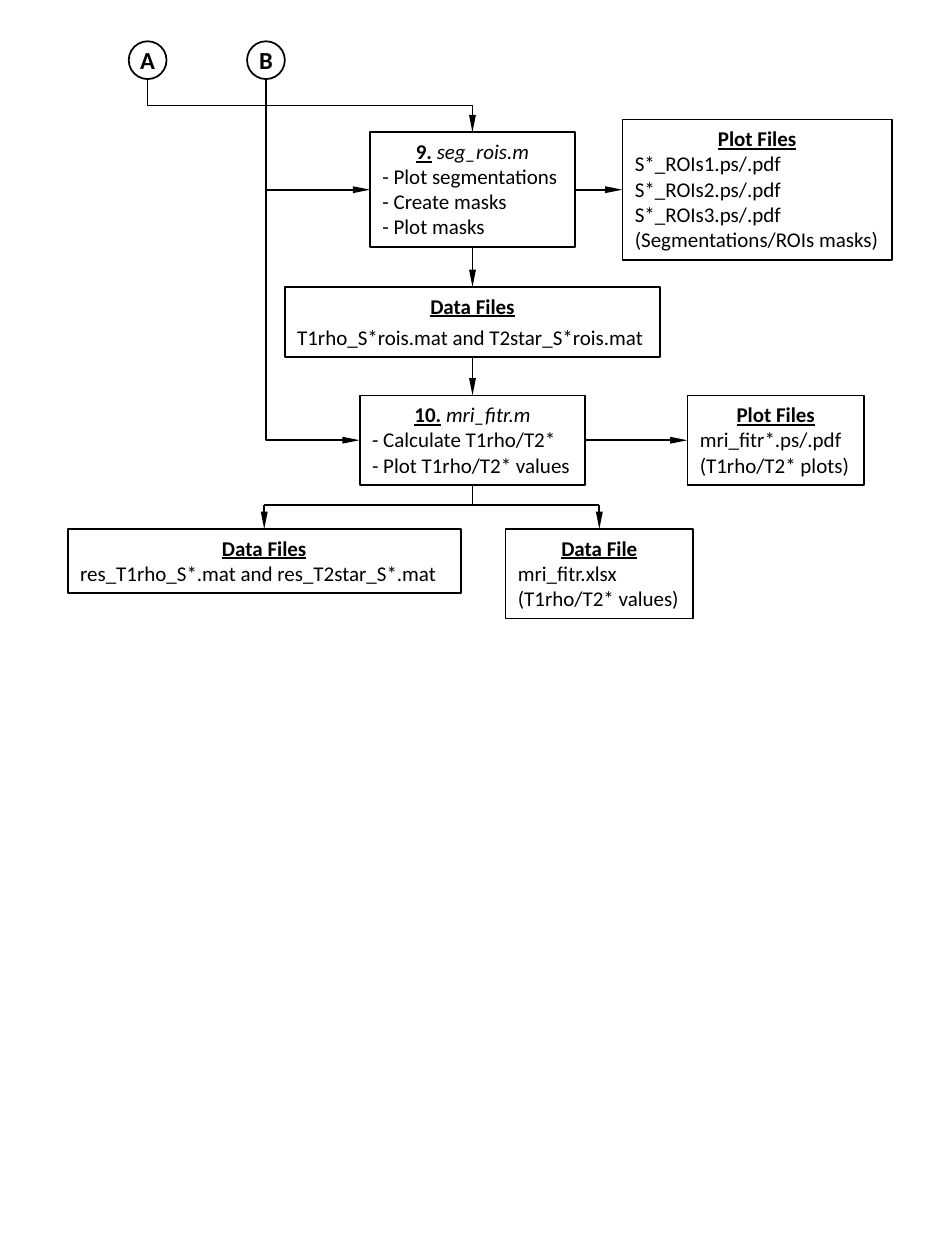
import pptx
import pptx.dml.color
import pptx.enum.shapes
import pptx.enum.text
import pptx.util
from collections import namedtuple
from lxml import etree
from pptx.oxml.ns import qn

Pt = pptx.util.Pt
SHAPE = pptx.enum.shapes.MSO_SHAPE
LINE = pptx.enum.shapes.MSO_CONNECTOR
ALIGN = pptx.enum.text.PP_ALIGN
ANCHOR = pptx.enum.text.MSO_ANCHOR
Edges = namedtuple("Edges", "left top right bottom cx cy")


def color(value):
    return pptx.dml.color.RGBColor.from_string(value)


def add_text(p, text, size=12, bold=False, italic=False, underline=False, ink="000000"):
    r = p.add_run()
    r.text = text
    r.font.name = "Calibri"
    r.font.size = Pt(size)
    r.font.bold = bold
    r.font.italic = italic
    r.font.underline = underline
    r.font.color.rgb = color(ink)


class Flowchart:
    ink = "000000"
    weight = 1
    row = 14.65
    inset = 3.6

    def __init__(self, s):
        self.s = s

    def shape(self, kind, cx, top, width, height):
        sp = self.s.shapes.add_shape(kind, Pt(cx - width / 2), Pt(top), Pt(width), Pt(height))
        sp.shadow.inherit = False
        sp.fill.background()
        sp.line.color.rgb = color(self.ink)
        sp.line.width = Pt(self.weight)
        edges = Edges(cx - width / 2, top, cx + width / 2, top + height, cx, top + height / 2)
        return sp, edges

    def box(self, cx, top, width, heading, lines, script=None, gap=0):
        height = 2 * self.inset + self.row * (len(lines) + 1) + gap
        sp, edges = self.shape(SHAPE.RECTANGLE, cx, top, width, height)
        tf = sp.text_frame
        tf.word_wrap = True
        tf.vertical_anchor = ANCHOR.TOP
        p = tf.paragraphs[0]
        p.alignment = ALIGN.CENTER
        add_text(p, heading, bold=True, underline=True)
        if script:
            add_text(p, " ")
            add_text(p, script, italic=True)
        for i, line in enumerate(lines):
            p = tf.add_paragraph()
            p.alignment = ALIGN.LEFT
            p.space_before = Pt(gap if i == 0 else 0)
            add_text(p, line)
        return edges

    def marker(self, cx, top, letter):
        sp, edges = self.shape(SHAPE.OVAL, cx, top, 21.6, 21.6)
        tf = sp.text_frame
        tf.margin_left = tf.margin_right = tf.margin_top = tf.margin_bottom = 0
        tf.word_wrap = False
        tf.vertical_anchor = ANCHOR.MIDDLE
        p = tf.paragraphs[0]
        p.alignment = ALIGN.CENTER
        add_text(p, letter, size=14, bold=True)
        return edges

    def connector(self, x1, y1, x2, y2, kind=LINE.STRAIGHT, arrow=True):
        c = self.s.shapes.add_connector(kind, Pt(x1), Pt(y1), Pt(x2), Pt(y2))
        c.line.color.rgb = color(self.ink)
        c.line.width = Pt(self.weight)
        if arrow:
            etree.SubElement(c.line._get_or_add_ln(), qn("a:tailEnd"), type="triangle", w="sm", len="lg")
        etree.SubElement(c._element.spPr, qn("a:effectLst"))
        return c

    def elbow_down(self, x1, y1, x2, y2, preset):
        cx, cy = (x1 + x2) / 2, (y1 + y2) / 2
        dx, dy = (x2 - x1) / 2, (y2 - y1) / 2
        c = self.connector(cx - dy, cy - dx, cx + dy, cy + dx, LINE.ELBOW)
        xfrm = c._element.spPr.find(qn("a:xfrm"))
        xfrm.set("rot", "16200000")
        xfrm.set("flipH", "1")
        c._element.spPr.find(qn("a:prstGeom")).set("prst", preset)


def main():
    prs = pptx.Presentation()
    prs.slide_width, prs.slide_height = Pt(540), Pt(720)
    chart = Flowchart(prs.slides.add_slide(prs.slide_layouts[6]))
    axis = 270

    a = chart.marker(84.4, 23.6, "A")
    b = chart.marker(152, 23.6, "B")
    seg = chart.box(axis, 75.5, 117, "9.",
                    ["- Plot segmentations", "- Create masks", "- Plot masks"], script="seg_rois.m")
    seg_plots = chart.box(432.7, 68.3, 154, "Plot Files",
                          ["S*_ROIs1.ps/.pdf", "S*_ROIs2.ps/.pdf", "S*_ROIs3.ps/.pdf",
                           "(Segmentations/ROIs masks)"])
    rois = chart.box(axis, 164, 214.6, "Data Files",
                     ["T1rho_S*rois.mat and T2star_S*rois.mat"], gap=3.7)
    fit = chart.box(axis, 226, 129, "10.",
                    ["- Calculate T1rho/T2*", "- Plot T1rho/T2* values"], script="mri_fitr.m")
    fit_plots = chart.box(443.3, 226, 101, "Plot Files", ["mri_fitr*.ps/.pdf", "(T1rho/T2* plots)"])
    results = chart.box(151, 302.3, 224.6, "Data Files", ["res_T1rho_S*.mat and res_T2star_S*.mat"])
    values = chart.box(342.5, 302.3, 107.3, "Data File", ["mri_fitr.xlsx", "(T1rho/T2* values)"])

    for upper, lower in ((seg, rois), (rois, fit)):
        chart.connector(axis, upper.bottom, axis, lower.top)
    for left, right in ((seg, seg_plots), (fit, fit_plots)):
        chart.connector(left.right, left.cy, right.left, left.cy)

    chart.elbow_down(a.cx, a.bottom, axis, seg.top, "bentConnector3")
    chart.elbow_down(b.cx, b.bottom, fit.left, fit.cy, "bentConnector2")
    chart.connector(b.cx, seg.cy, seg.left, seg.cy)

    fork = 288.6
    chart.connector(axis, fit.bottom, axis, fork, arrow=False)
    for output in (results, values):
        chart.connector(axis, fork, output.cx, fork, arrow=False)
        chart.connector(output.cx, fork, output.cx, output.top)

    prs.save("out.pptx")


if __name__ == "__main__":
    main()
